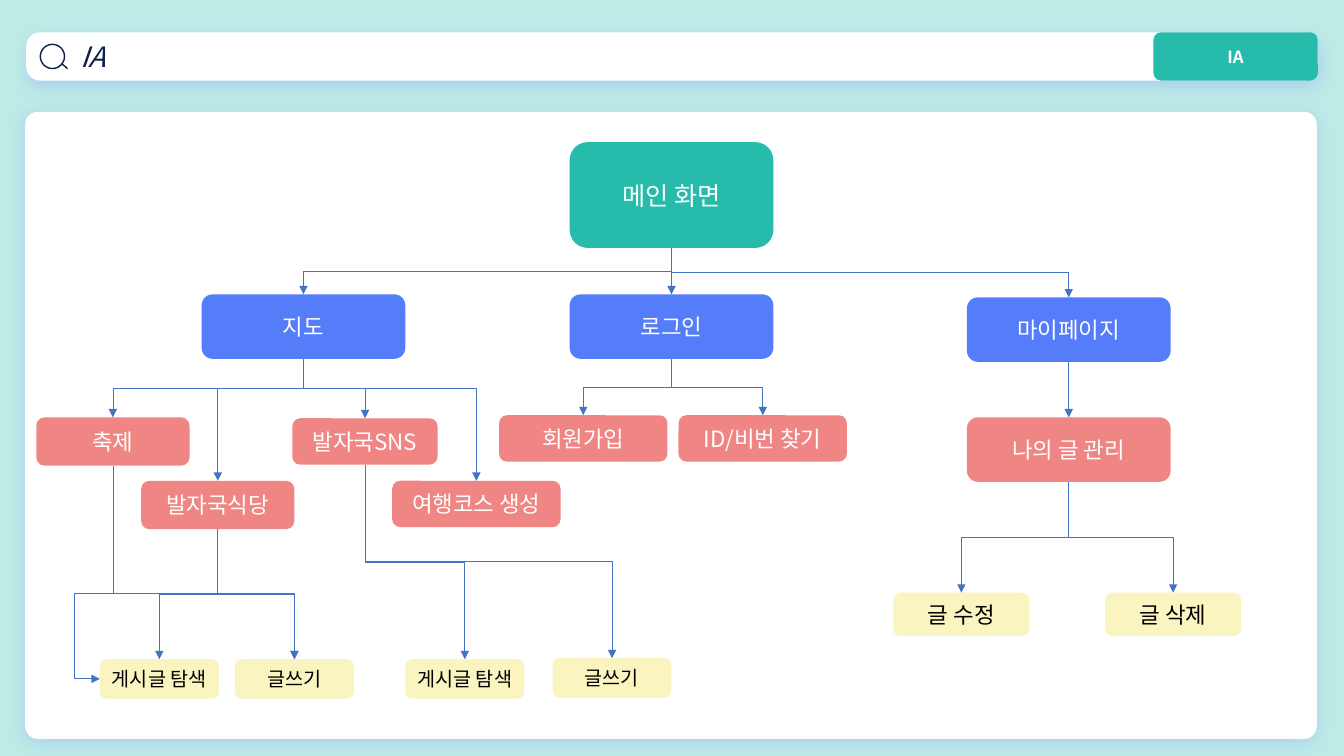
from lxml.etree import SubElement
from pptx import Presentation
from pptx.dml.color import RGBColor
from pptx.enum.shapes import MSO_CONNECTOR, MSO_SHAPE
from pptx.enum.text import MSO_ANCHOR, PP_ALIGN
from pptx.oxml.ns import qn
from pptx.util import Inches, Pt

FONT = "Noto Sans CJK KR"
COLORS = {
    "background": "BEEBE6", "teal": "26BBAA", "blue": "557CF9",
    "coral": "F08684", "cream": "FAF4C0", "white": "FFFFFF",
    "black": "000000", "navy": "0F1D4A", "line": "4472C4", "shadow": "8FACFC",
}
LEVELS = {
    "main": ("teal", "white", 18),
    "menu": ("blue", "white", 16),
    "page": ("coral", "white", 16),
    "edit": ("cream", "black", 16),
    "post": ("cream", "black", 14),
}
NODES = [
    ("main", "메인 화면", "main", 5.65, 1.41, 2.02, 1.05),
    ("map", "지도", "menu", 2, 2.92, 2.02, 0.64),
    ("login", "로그인", "menu", 5.65, 2.92, 2.02, 0.64),
    ("mypage", "마이페이지", "menu", 9.59, 2.95, 2.02, 0.64),
    ("festival", "축제", "page", 0.36, 4.14, 1.52, 0.48),
    ("diner", "발자국식당", "page", 1.4, 4.77, 1.52, 0.48),
    ("sns", "발자국SNS", "page", 2.9, 4.15, 1.44, 0.46),
    ("course", "여행코스 생성", "page", 3.89, 4.77, 1.67, 0.46),
    ("signup", "회원가입", "page", 4.95, 4.12, 1.67, 0.46),
    ("find", "ID/비번 찾기", "page", 6.73, 4.12, 1.67, 0.46),
    ("manage", "나의 글 관리", "page", 9.59, 4.14, 2.02, 0.64),
    ("modify", "글 수정", "edit", 8.86, 5.88, 1.35, 0.43),
    ("delete", "글 삭제", "edit", 10.96, 5.88, 1.35, 0.43),
    ("browse", "게시글 탐색", "post", 0.99, 6.54, 1.18, 0.39),
    ("write", "글쓰기", "post", 2.33, 6.54, 1.18, 0.39),
    ("sns_browse", "게시글 탐색", "post", 4.02, 6.54, 1.18, 0.39),
    ("sns_write", "글쓰기", "post", 5.48, 6.53, 1.18, 0.39),
]
STRAIGHT = [("main", "login"), ("mypage", "manage")]
BRANCHES = [
    ("main", "map", 0.5), ("main", "mypage", 0.5),
    ("map", "festival", 0.5), ("map", "diner", 0.24),
    ("map", "sns", 0.5), ("map", "course", 0.24),
    ("login", "signup", 0.5), ("login", "find", 0.5),
    ("manage", "modify", 0.5), ("manage", "delete", 0.5),
    ("diner", "browse", 0.5), ("diner", "write", 0.5),
    ("sns", "sns_browse", 0.5), ("sns", "sns_write", 0.5),
    ("festival", "write", 0.66),
]


class Deck:
    def __init__(self):
        self.prs = Presentation()
        self.prs.slide_width, self.prs.slide_height = Inches(13.33), Inches(7.5)
        self.s = self.prs.slides.add_slide(self.prs.slide_layouts[6])
        fill = self.s.background.fill
        fill.solid()
        fill.fore_color.rgb = self.color("background")

    def color(self, name):
        return RGBColor.from_string(COLORS[name])

    def box(self, x, y, w, h, fill, radius=0.17):
        sp = self.s.shapes.add_shape(
            MSO_SHAPE.ROUNDED_RECTANGLE, Inches(x), Inches(y), Inches(w), Inches(h))
        sp.adjustments[0] = radius
        sp.shadow.inherit = False
        sp.fill.solid()
        sp.fill.fore_color.rgb = self.color(fill)
        sp.line.fill.background()
        return sp

    def text(self, sp, text, size, color, align=PP_ALIGN.CENTER, **style):
        tf = sp.text_frame
        tf.word_wrap = True
        tf.vertical_anchor = MSO_ANCHOR.MIDDLE
        p = tf.paragraphs[0]
        p.alignment = align
        r = p.add_run()
        r.text = text
        r.font.size = Pt(size)
        r.font.name = FONT
        r.font.color.rgb = self.color(color)
        r.font.bold = style.get("bold", False)
        r.font.italic = style.get("italic", False)
        SubElement(r.font._element, qn("a:ea"), typeface=FONT)
        return p

    def shadow(self, sp):
        effects = sp._element.spPr.find(qn("a:effectLst"))
        outer = SubElement(effects, qn("a:outerShdw"), blurRad=str(Pt(11)),
                           dist=str(Pt(3)), dir="5400000", algn="t", rotWithShape="0")
        tint = SubElement(outer, qn("a:srgbClr"), val=COLORS["shadow"])
        SubElement(tint, qn("a:alpha"), val="40000")

    def search_icon(self):
        group = self.s.shapes.add_group_shape()
        sp = group.shapes.add_shape(
            MSO_SHAPE.OVAL, Inches(0.4), Inches(0.44), Inches(0.24), Inches(0.24))
        sp.shadow.inherit = False
        sp.fill.background()
        handle = group.shapes.add_connector(
            MSO_CONNECTOR.STRAIGHT, Inches(0.61), Inches(0.63), Inches(0.67), Inches(0.68))
        for part in (sp, handle):
            part.line.color.rgb = self.color("navy")
            part.line.width = Pt(1)
        SubElement(handle._element.spPr, qn("a:effectLst"))

    def arrow(self, kind, start, end, end_side=0):
        c = self.s.shapes.add_connector(kind, 0, 0, 0, 0)
        c.begin_connect(start, 2)
        c.end_connect(end, end_side)
        c.line.color.rgb = self.color("line")
        c.line.width = Pt(0.5)
        SubElement(c.get_or_add_ln(), qn("a:tailEnd"), type="triangle")
        SubElement(c._element.spPr, qn("a:effectLst"))
        return c

    def elbow(self, start, end, *bends, end_side=0):
        c = self.arrow(MSO_CONNECTOR.ELBOW, start, end, end_side)
        x1, y1, x2, y2 = c.begin_x, c.begin_y, c.end_x, c.end_y
        w, h = abs(y2 - y1), abs(x2 - x1)
        c.left, c.top = (x1 + x2 - w) // 2, (y1 + y2 - h) // 2
        c.width, c.height = w, h
        xfrm = c._element.spPr.find(qn("a:xfrm"))
        rightward = x2 > x1
        xfrm.set("rot", "16200000" if rightward else "5400000")
        xfrm.set("flipH", "1" if rightward else "0")
        xfrm.set("flipV", "0")
        geom = c._element.spPr.find(qn("a:prstGeom"))
        geom.set("prst", f"bentConnector{len(bends) + 2}")
        guides = geom.find(qn("a:avLst"))
        for i, bend in enumerate(bends, 1):
            SubElement(guides, qn("a:gd"), name=f"adj{i}", fmla=f"val {round(bend * 100000)}")


def main():
    deck = Deck()
    bar = deck.box(0.26, 0.32, 12.81, 0.48, "white", 0.29)
    deck.shadow(bar)
    p = deck.text(bar, "IA", 20, "navy", PP_ALIGN.LEFT, italic=True)
    p._p.get_or_add_pPr().set("marL", str(Inches(0.4)))
    deck.search_icon()
    tab = deck.box(11.44, 0.32, 1.63, 0.48, "teal", 0.16)
    deck.text(tab, "IA", 12, "white", bold=True)
    deck.shadow(deck.box(0.25, 1.11, 12.81, 6.22, "white", 0.02))

    nodes = {}
    for key, label, level, x, y, w, h in NODES:
        fill, color, size = LEVELS[level]
        nodes[key] = deck.box(x, y, w, h, fill)
        deck.text(nodes[key], label, size, color)

    for start, end in STRAIGHT:
        deck.arrow(MSO_CONNECTOR.STRAIGHT, nodes[start], nodes[end])
    for start, end, bend in BRANCHES:
        deck.elbow(nodes[start], nodes[end], bend)
    deck.elbow(nodes["festival"], nodes["browse"], 0.6, 2.98, end_side=1)
    deck.prs.save("out.pptx")


if __name__ == "__main__":
    main()
